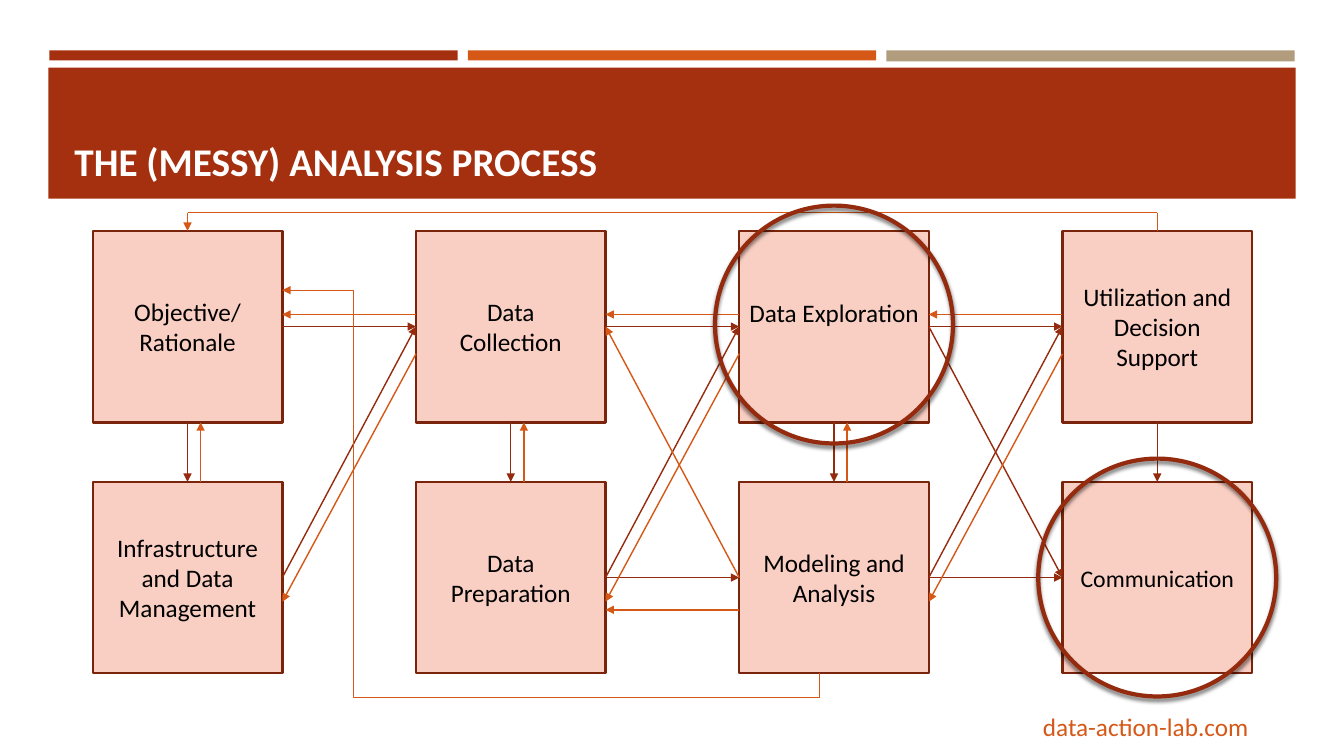
from lxml import etree
from pptx import Presentation
from pptx.dml.color import RGBColor
from pptx.enum import shapes, text
from pptx.oxml import ns
from pptx.util import Inches, Pt

RUST, ORANGE, TAN = "A5300F", "D55816", "B19C7D"
PINK, BORDER, DARK = "F9CFC3", "7A240B", "942B0E"

TITLE = "THE (MESSY) ANALYSIS PROCESS"
SITE = "data-action-lab.com"
BANDS = [(0.49, 0.5, 4.05, 0.1, RUST), (4.64, 0.5, 4.05, 0.1, ORANGE),
         (8.79, 0.5, 4.05, 0.11, TAN), (0.48, 0.67, 12.37, 1.3, RUST)]
# Each step: label, text size, bottom inset
STEPS = [
    [("Objective/\nRationale", 18, 0.05), ("Data\vCollection", 18, 0.05),
     ("Data Exploration", 18, 0.33), ("Utilization and Decision Support", 18, 0.05)],
    [("Infrastructure and Data Management", 18, 0.05), ("Data Preparation", 18, 0.05),
     ("Modeling and Analysis", 18, 0.05), ("Communication", 17, 0.05)],
]
# Forward arrows: column and row of the source, row of the target one column on
FORWARD = [(0, 0, 0), (0, 1, 0), (1, 0, 0), (1, 1, 0), (1, 1, 1),
           (2, 0, 0), (2, 0, 1), (2, 1, 1), (2, 1, 0)]
# Feedback arrows: source column, row and offset; target row and offset one column back
FEEDBACK = [(1, 0, -0.12, 0, -0.12), (2, 0, -0.12, 0, -0.12), (3, 0, -0.12, 0, -0.12),
            (1, 0, 0.27, 1, 0.24), (2, 0, 0.27, 1, 0.24), (3, 0, 0.27, 1, 0.24),
            (2, 1, 0, 0, 0), (2, 1, 0.32, 1, 0.32)]
RINGED = [(2, 0, -0.02), (3, 1, 0)]  # column, row, shift down

LEFT, TOP, BOX_W, BOX_H = 0.92, 2.29, 1.88, 1.9
COL_STEP, ROW_STEP, RING = 3.206, 2.49, 2.36
LOOP_TOP, LOOP_BOTTOM, LOOP_START = 2.11, 6.92, 8.13

deck = Presentation()
deck.slide_width, deck.slide_height = Inches(13.33), Inches(7.5)
page = deck.slides.add_slide(deck.slide_layouts[6])


def color(value):
    return RGBColor.from_string(value)


def box_left(col):
    return LEFT + col * COL_STEP


def box_top(row):
    return TOP + row * ROW_STEP


def mid_x(col):
    return box_left(col) + BOX_W / 2


def mid_y(row):
    return box_top(row) + BOX_H / 2


def add_shape(kind, left, top, width, height, fill=None, line=None, weight=1):
    shape = page.shapes.add_shape(kind, *map(Inches, (left, top, width, height)))
    shape.shadow.inherit = False
    if fill:
        shape.fill.solid()
        shape.fill.fore_color.rgb = color(fill)
    else:
        shape.fill.background()
    if line:
        shape.line.color.rgb = color(line)
        shape.line.width = Pt(weight)
    else:
        shape.line.fill.background()
    return shape


def write(box, words, align, anchor, bottom=0.05, **font):
    frame = box.text_frame
    frame.text = words
    settings = {"word_wrap": True, "vertical_anchor": anchor,
                "margin_left": Inches(0.1), "margin_right": Inches(0.1),
                "margin_top": Inches(0.05), "margin_bottom": Inches(bottom)}
    for name, value in settings.items():
        setattr(frame, name, value)
    for para in frame.paragraphs:
        para.alignment = align
        para.font.name = "Calibri"
        para.font.size = Pt(font["size"])
        para.font.bold = font.get("bold", False)
        para.font.color.rgb = color(font["ink"])


def add_line(start, end, ink, arrow=True, kind=shapes.MSO_CONNECTOR.STRAIGHT):
    line = page.shapes.add_connector(kind, *map(Inches, start + end))
    line.line.color.rgb = color(ink)
    line.line.width = Pt(1)
    if arrow:
        etree.SubElement(line.line._get_or_add_ln(), ns.qn("a:tailEnd"), type="triangle")
    etree.SubElement(line._element.spPr, ns.qn("a:effectLst"))
    return line


def add_ring(col, row, shift):
    ring = add_shape(shapes.MSO_SHAPE.OVAL, mid_x(col) - RING / 2,
                     mid_y(row) - RING / 2 + shift, RING, RING, line=DARK, weight=3)
    effects = ring._element.spPr.find(ns.qn("a:effectLst"))
    shadow = etree.SubElement(effects, ns.qn("a:outerShdw"), blurRad=str(Pt(3)),
                              dist=str(Pt(2)), dir="5400000", rotWithShape="0")
    black = etree.SubElement(shadow, ns.qn("a:srgbClr"), val="000000")
    etree.SubElement(black, ns.qn("a:alpha"), val="55000")


# Header and footer
for *place, fill in BANDS:
    add_shape(shapes.MSO_SHAPE.RECTANGLE, *place, fill=fill)
title = page.shapes.add_textbox(*map(Inches, (0.64, 0.77, 12.06, 1.11)))
write(title, TITLE, text.PP_ALIGN.LEFT, text.MSO_ANCHOR.BOTTOM, size=28, ink="FFFFFF", bold=True)
site = page.shapes.add_textbox(*map(Inches, (9.88, 7.01, 2.6, 0.4)))
write(site, SITE, text.PP_ALIGN.RIGHT, text.MSO_ANCHOR.TOP, size=18, ink=ORANGE)

# Steps
for row, steps in enumerate(STEPS):
    for col, (label, size, bottom) in enumerate(steps):
        step = add_shape(shapes.MSO_SHAPE.RECTANGLE, box_left(col), box_top(row),
                         BOX_W, BOX_H, PINK, BORDER, 1.75)
        write(step, label, text.PP_ALIGN.CENTER, text.MSO_ANCHOR.MIDDLE, bottom,
              size=size, ink="000000")

# Arrows between neighbouring steps
for col in range(4):
    upper, lower = box_top(0) + BOX_H, box_top(1)
    add_line((mid_x(col), upper), (mid_x(col), lower), DARK)
    if col < 3:
        add_line((mid_x(col) + 0.13, lower), (mid_x(col) + 0.13, upper), ORANGE)
for col, row, target in FORWARD:
    add_line((box_left(col) + BOX_W, mid_y(row)), (box_left(col + 1), mid_y(target)), DARK)
for col, row, shift, target, target_shift in FEEDBACK:
    add_line((box_left(col), mid_y(row) + shift),
             (box_left(col - 1) + BOX_W, mid_y(target) + target_shift), ORANGE)

# Long loops back to the objective
add_line((mid_x(3), TOP), (mid_x(3), LOOP_TOP), ORANGE, arrow=False)
add_line((mid_x(3), LOOP_TOP), (mid_x(0), LOOP_TOP), ORANGE, arrow=False)
add_line((mid_x(0), LOOP_TOP), (mid_x(0), TOP), ORANGE)
add_line((LOOP_START, LOOP_BOTTOM), (LOOP_START, box_top(1) + BOX_H), ORANGE, arrow=False)
loop = add_line((LOOP_START, LOOP_BOTTOM), (LEFT + BOX_W, 2.88), ORANGE,
                kind=shapes.MSO_CONNECTOR.ELBOW)
geometry = loop._element.spPr.find(ns.qn("a:prstGeom"))
guides = geometry.find(ns.qn("a:avLst"))
if guides is None:
    guides = etree.SubElement(geometry, ns.qn("a:avLst"))
etree.SubElement(guides, ns.qn("a:gd"), name="adj1", fmla="val 86800")

for ring in RINGED:
    add_ring(*ring)

deck.save("out.pptx")
